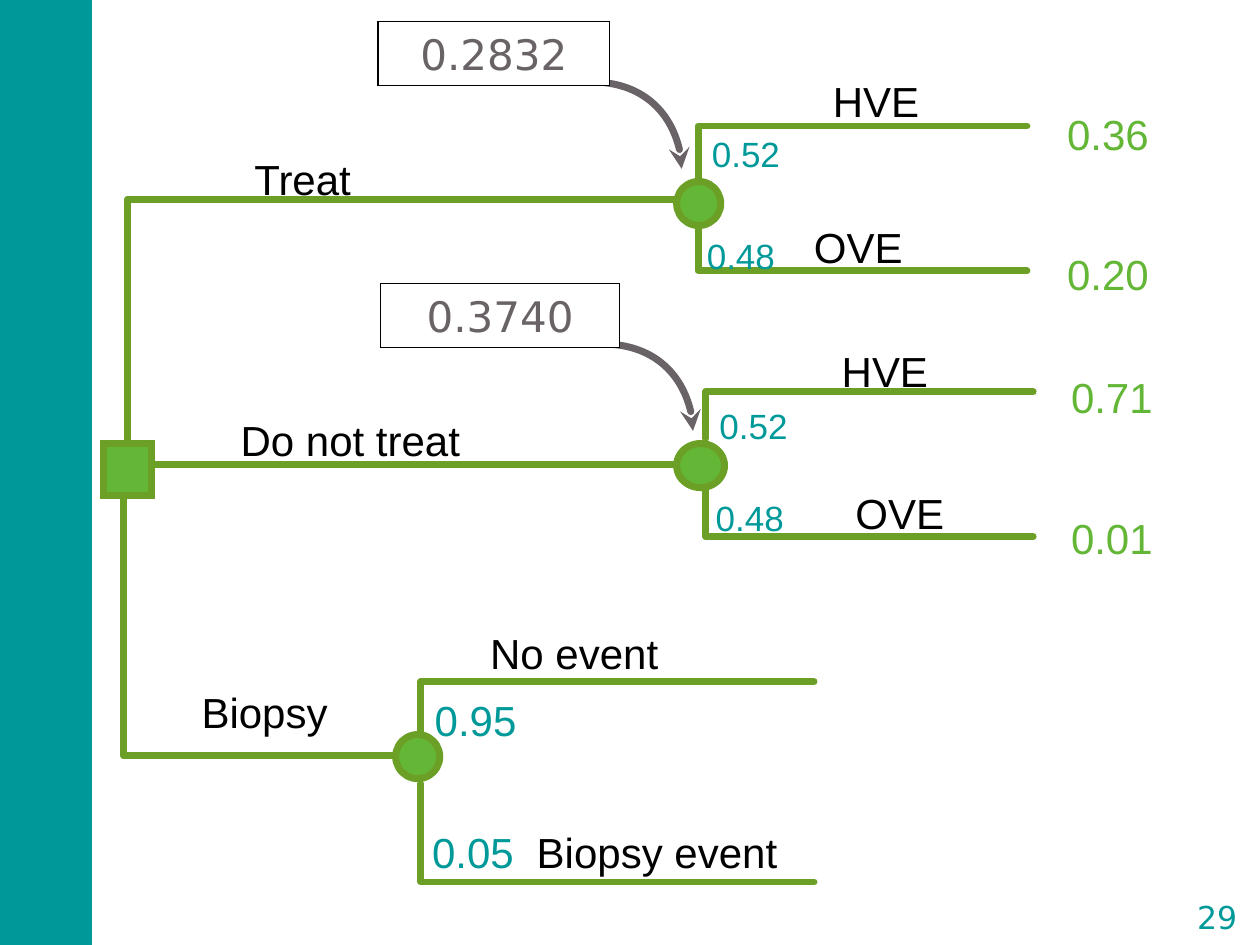
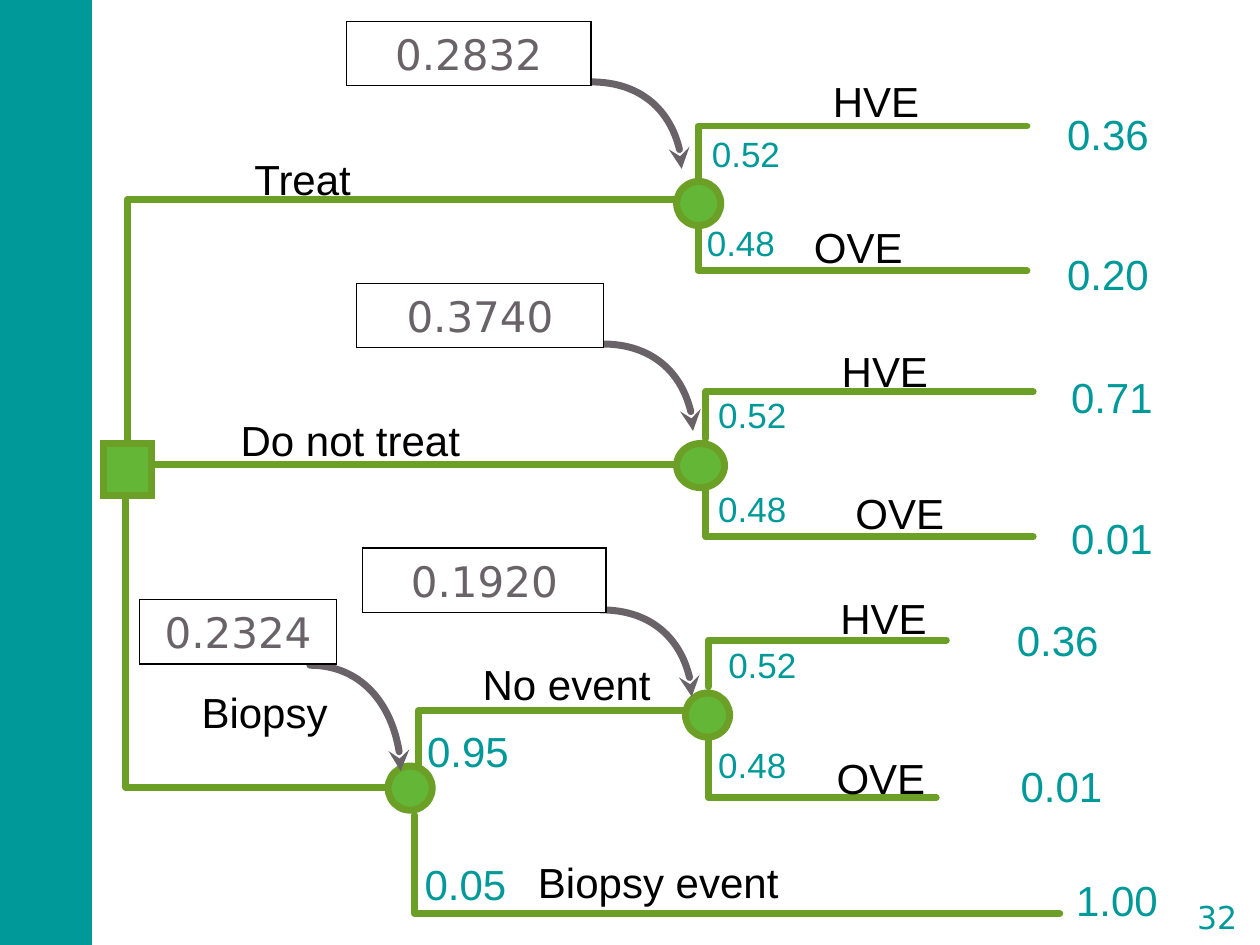
from lxml import etree
from pptx import Presentation
from pptx.dml.color import RGBColor
from pptx.enum import shapes, text as text_enum
from pptx.oxml.ns import qn
from pptx.util import Pt

PX = 9144  # 100 px to the inch
TEAL = RGBColor(0x00, 0x99, 0x99)
LEAF = RGBColor(0x64, 0xB6, 0x36)
MOSS = RGBColor(0x6B, 0x9F, 0x25)
GREY = RGBColor(0x69, 0x63, 0x67)
BLACK = RGBColor(0, 0, 0)
WHITE = RGBColor(255, 255, 255)
BODY_FONT, NUMBER_FONT = "Arial", "DejaVu Sans"
RECTANGLE = shapes.MSO_SHAPE.RECTANGLE
OVAL = shapes.MSO_SHAPE.OVAL

# Branches run from a node up or down, then right: start x, start y, end x, end y
BRANCHES = [(95, 383, 564, 369), (101, 379, 560, 158),
            (554, 142, 815, 100), (554, 162, 815, 215),
            (560, 348, 820, 311), (560, 372, 820, 426)]
# Marks: kind, left, top, width, height
NODES = [(RECTANGLE, 82, 352, 38, 41), (OVAL, 537, 144, 35, 35), (OVAL, 537, 352, 38, 35)]
# Text: wording, left, top, width
LABELS = [("Treat", 196, 119, 90), ("Do not treat", 185, 326, 206), ("Biopsy", 154, 542, 113),
          ("HVE", 655, 57, 82), ("OVE", 640, 173, 104),
          ("HVE", 662, 271, 82), ("OVE", 673, 384, 104)]
PAYOFFS = [("0.36", 841, 83, 85), ("0.20", 841, 194, 85),
           ("0.71", 844, 292, 85), ("0.01", 844, 404, 85)]
# Arrows: left, top, width, height of the quarter curve
ARROWS = [(469, 65, 72, 69), (478, 273, 72, 69)]

SLIDES = [
    dict(
        number="29",
        payoff_color=LEAF,
        branches=[(98, 383, 321, 600), (334, 587, 646, 541), (334, 622, 646, 700)],
        nodes=[(OVAL, 314, 583, 35, 35)],
        labels=[("No event", 383, 495, 175), ("Biopsy event", 420, 653, 205)],
        event_chances=[("0.95", 339, 548, 99), ("0.05", 337, 653, 101)],
        chances=[("0.52", 559, 102, 87), ("0.48", 555, 183, 73),
                 ("0.52", 565, 318, 67), ("0.48", 562, 391, 77)],
        payoffs=[],
        arrows=[],
        results=[("0.2832", 300, 17, 184), ("0.3740", 302, 225, 190)],
    ),
    dict(
        number="32",
        payoff_color=TEAL,
        branches=[(100, 383, 323, 625), (332, 610, 552, 564), (329, 647, 841, 725),
                  (562, 545, 751, 508), (562, 579, 743, 633)],
        nodes=[(OVAL, 308, 608, 35, 35), (OVAL, 544, 550, 35, 35)],
        labels=[("No event", 377, 520, 165), ("Biopsy event", 421, 677, 205),
                ("HVE", 661, 467, 91), ("OVE", 658, 594, 104)],
        event_chances=[("0.95", 333, 573, 87), ("0.05", 331, 678, 89)],
        chances=[("0.52", 559, 102, 87), ("0.48", 555, 173, 73),
                 ("0.52", 564, 309, 67), ("0.48", 564, 384, 77),
                 ("0.48", 564, 587, 73), ("0.52", 572, 508, 79)],
        payoffs=[("0.36", 801, 485, 85), ("0.01", 804, 601, 85), ("1.00", 848, 691, 85)],
        arrows=[(477, 484, 72, 69), (246, 528, 72, 84)],
        results=[("0.2832", 275, 17, 194), ("0.3740", 283, 225, 196),
                 ("0.1920", 288, 435, 193), ("0.2324", 111, 476, 156)],
    ),
]


def paint(shape, fill=None, line=None, width=4, join="miter", cap="flat", arrow=None):
    """Set fill, line, line ends and remove the shadow."""
    shape.shadow.inherit = False
    if fill is None:
        shape.fill.background()
    else:
        shape.fill.solid()
        shape.fill.fore_color.rgb = fill
    if line is None:
        shape.line.fill.background()
        return
    shape.line.color.rgb = line
    shape.line.width = Pt(width)
    outline = shape.element.find(".//" + qn("a:ln"))
    outline.set("cap", cap)
    etree.SubElement(outline, qn("a:" + join))
    if arrow:
        etree.SubElement(outline, qn("a:tailEnd"), type=arrow)


def write(shape, text, size=24, color=BLACK, font=BODY_FONT, align=None,
          insets=(6, 3), wrap=True, fit=True):
    frame = shape.text_frame
    frame.word_wrap = wrap
    if fit:
        frame.auto_size = text_enum.MSO_AUTO_SIZE.SHAPE_TO_FIT_TEXT
    frame.margin_left = frame.margin_right = insets[0] * PX
    frame.margin_top = frame.margin_bottom = insets[1] * PX
    paragraph = frame.paragraphs[0]
    paragraph.alignment = align
    run = paragraph.add_run()
    run.text = text
    run.font.size = Pt(size)
    run.font.name = font
    run.font.color.rgb = color


presentation = Presentation()
presentation.slide_width = 1000 * PX
presentation.slide_height = 750 * PX
blank_layout = presentation.slide_layouts[6]
center = text_enum.PP_ALIGN.CENTER

for index, content in enumerate(SLIDES):
    slide = presentation.slides.add_slide(blank_layout)

    if index == 0:  # the side band belongs to the master
        band = slide.shapes.add_shape(RECTANGLE, -2 * PX, 0, 75 * PX, 750 * PX)
        paint(band, fill=TEAL)
        band.element.nvSpPr.cNvPr.set("id", "20")
        presentation.slide_master.shapes.element.insert(2, band.element)

    for start_x, start_y, end_x, end_y in BRANCHES + content["branches"]:
        builder = slide.shapes.build_freeform(start_x, start_y, scale=PX)
        builder.add_line_segments([(start_x, end_y), (end_x, end_y)], close=False)
        paint(builder.convert_to_shape(), line=MOSS, join="round", cap="rnd")

    for kind, *box in NODES + content["nodes"]:
        node = slide.shapes.add_shape(kind, *[length * PX for length in box])
        paint(node, fill=LEAF, line=MOSS)

    text_groups = [
        (LABELS + content["labels"], 46, dict(wrap=False)),
        (content["event_chances"], 47, dict(color=TEAL)),
        (content["chances"], 40, dict(color=TEAL, size=20)),
        (PAYOFFS + content["payoffs"], 47, dict(color=content["payoff_color"])),
    ]
    for items, height, style in text_groups:
        for wording, left, top, width in items:
            box = slide.shapes.add_textbox(left * PX, top * PX, width * PX, height * PX)
            write(box, wording, **style)

    for left, top, width, height in ARROWS + content["arrows"]:
        builder = slide.shapes.build_freeform(left, top, scale=PX)
        builder.add_line_segments([(left + width, top + height)], close=False)
        arrow = builder.convert_to_shape()
        paint(arrow, line=GREY, join="round", cap="rnd", arrow="stealth")
        path = arrow.element.find(".//" + qn("a:path"))
        path.remove(path.find(qn("a:lnTo")))
        curve = etree.SubElement(path, qn("a:cubicBezTo"))
        for x, y in [(width * 0.55, 0), (width, height * 0.45), (width, height)]:
            etree.SubElement(curve, qn("a:pt"), x=str(round(x)), y=str(round(y)))

    for wording, left, top, width in content["results"]:
        result = slide.shapes.add_shape(RECTANGLE, left * PX, top * PX, width * PX, 51 * PX)
        paint(result, fill=WHITE, line=BLACK, width=0.75)
        write(result, wording, color=GREY, font=NUMBER_FONT, align=center, insets=(10, 5))

    page_number = slide.shapes.add_shape(
        shapes.MSO_SHAPE.DOUBLE_BRACKET, 936 * PX, 706 * PX, 60 * PX, 43 * PX)
    page_number.adjustments[0] = 0.18
    paint(page_number, line=WHITE, width=1.5)
    write(page_number, content["number"], size=18, color=TEAL, font=NUMBER_FONT,
          align=center, insets=(0, 0), fit=False)

presentation.save("out.pptx")
